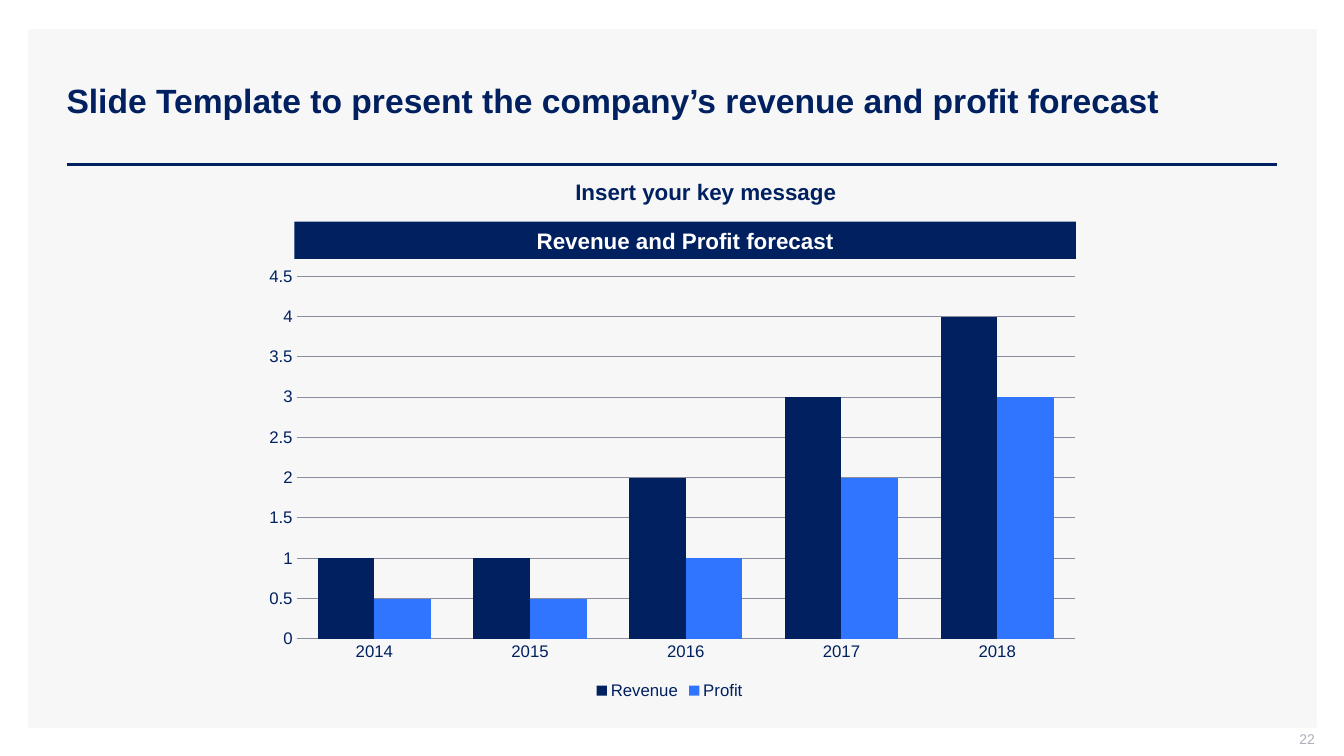
import pptx
import pptx.chart.data
import pptx.dml.color
import pptx.enum.chart
import pptx.enum.shapes
import pptx.enum.text
import pptx.oxml
import pptx.oxml.ns
import pptx.util
from pptx.util import Inches

# Content
TITLE = "Slide Template to present the company’s revenue and profit forecast"
KEY_MESSAGE = "Insert your key message"
CHART_HEADING = "Revenue and Profit forecast"
PAGE_NUMBER = "22"
YEARS = ["2014", "2015", "2016", "2017", "2018"]
SERIES = [
    ("Revenue", "navy", (1, 1, 2, 3, 4)),
    ("Profit ", "blue", (0.5, 0.5, 1, 2, 3)),
]

# Style
COLORS = {"navy": "002060", "blue": "3075FF", "panel": "F7F7F7",
          "white": "FFFFFF", "gray": "ADAFBB", "grid": "8A8CA0"}
FONT = "Arial"
ALIGN = pptx.enum.text.PP_ALIGN
MIDDLE = pptx.enum.text.MSO_ANCHOR.MIDDLE

# Places: left, top, width, height
PANEL = (0.28, 0.29, 12.78, 6.93)
TITLE_BOX = (0.56, 0.4, 12.11, 1.19)
RULE = (0.66, 1.63, 12.67, 1.63)  # from x, y to x, y
MESSAGE_BOX = (5.08, 1.77, 3.84, 0.27)
HEADING_BOX = (2.92, 2.2, 7.75, 0.37)
CHART_BOX = (2.5, 2.56, 8.33, 4.42)
PLOT_BOX = (2.94, 2.74, 7.72, 3.6)
NUMBER_BOX = (10.04, 7.25, 3, 0.21)


def inches(box):
    return [Inches(v) for v in box]


def rgb(name):
    return pptx.dml.color.RGBColor.from_string(COLORS[name])


def style_font(font, size, color, bold=False):
    font.name = FONT
    font.size = pptx.util.Pt(size)
    font.bold = bold
    font.color.rgb = rgb(color)


def write(shape, text, size, color, bold, align, margins=(0.1, 0.05, 0.1, 0.05)):
    tf = shape.text_frame
    tf.word_wrap = True
    tf.vertical_anchor = MIDDLE
    tf.margin_left, tf.margin_top, tf.margin_right, tf.margin_bottom = inches(margins)
    p = tf.paragraphs[0]
    p.alignment = align
    r = p.add_run()
    r.text = text
    style_font(r.font, size, color, bold)


def add_rect(s, box, color):
    sp = s.shapes.add_shape(pptx.enum.shapes.MSO_SHAPE.RECTANGLE, *inches(box))
    sp.shadow.inherit = False
    sp.fill.solid()
    sp.fill.fore_color.rgb = rgb(color)
    sp.line.fill.background()
    return sp


def place_plot(chart):
    """Fix the inner plot area as fractions of the chart frame."""
    cx, cy, cw, ch = CHART_BOX
    px, py, pw, ph = PLOT_BOX
    parts = {"x": (px - cx) / cw, "y": (py - cy) / ch, "w": pw / cw, "h": ph / ch}
    values = "".join(f'<c:{k} val="{v:.3f}"/>' for k, v in parts.items())
    layout = pptx.oxml.parse_xml(
        f'<c:layout {pptx.oxml.ns.nsdecls("c")}><c:manualLayout>'
        '<c:layoutTarget val="inner"/><c:xMode val="edge"/><c:yMode val="edge"/>'
        f'{values}</c:manualLayout></c:layout>')
    plot_area = chart.element.find(".//" + pptx.oxml.ns.qn("c:plotArea"))
    for old in plot_area.findall(pptx.oxml.ns.qn("c:layout")):
        plot_area.remove(old)
    plot_area.insert(0, layout)


def add_forecast_chart(s):
    data = pptx.chart.data.CategoryChartData()
    data.categories = YEARS
    for name, _, values in SERIES:
        data.add_series(name, values)
    chart = s.shapes.add_chart(pptx.enum.chart.XL_CHART_TYPE.COLUMN_CLUSTERED,
                               *inches(CHART_BOX), data).chart
    chart.has_title = False
    style_font(chart.font, 18, "navy")

    # Bars
    plot = chart.plots[0]
    plot.vary_by_categories = False
    plot.gap_width = 75
    plot.overlap = 0
    for series, (_, color, _) in zip(plot.series, SERIES):
        series.format.fill.solid()
        series.format.fill.fore_color.rgb = rgb(color)

    # Axes
    for axis in (chart.category_axis, chart.value_axis):
        axis.major_tick_mark = pptx.enum.chart.XL_TICK_MARK.NONE
        axis.minor_tick_mark = pptx.enum.chart.XL_TICK_MARK.NONE
        style_font(axis.tick_labels.font, 12, "navy")
    value_axis = chart.value_axis
    value_axis.minimum_scale, value_axis.maximum_scale = 0, 4.5
    value_axis.major_unit = 0.5
    value_axis.format.line.fill.background()
    value_axis.has_major_gridlines = True
    for line in (value_axis.major_gridlines.format.line,
                 chart.category_axis.format.line):
        line.color.rgb = rgb("grid")
        line.width = pptx.util.Pt(0.75)

    # Legend
    chart.has_legend = True
    chart.legend.position = pptx.enum.chart.XL_LEGEND_POSITION.BOTTOM
    chart.legend.include_in_layout = False
    style_font(chart.legend.font, 12, "navy")
    place_plot(chart)


def main():
    prs = pptx.Presentation()
    prs.slide_width, prs.slide_height = Inches(13.33), Inches(7.5)
    s = prs.slides.add_slide(prs.slide_layouts[5])

    # Panel and rule
    add_rect(s, PANEL, "panel")
    rule = s.shapes.add_connector(pptx.enum.shapes.MSO_CONNECTOR.STRAIGHT, *inches(RULE))
    rule.line.color.rgb = rgb("navy")
    rule.line.width = pptx.util.Pt(2)
    rule.element.spPr.append(
        pptx.oxml.parse_xml(f'<a:effectLst {pptx.oxml.ns.nsdecls("a")}/>'))

    # Title, raised above the panel
    title = s.shapes.title
    title.left, title.top, title.width, title.height = inches(TITLE_BOX)
    write(title, TITLE, 24, "navy", True, ALIGN.LEFT)
    title.element.getparent().append(title.element)

    # Page number and key message
    number = s.shapes.add_textbox(*inches(NUMBER_BOX))
    write(number, PAGE_NUMBER, 10, "gray", False, ALIGN.RIGHT, (0.1, 0, 0, 0.05))
    message = s.shapes.add_textbox(*inches(MESSAGE_BOX))
    write(message, KEY_MESSAGE, 16, "navy", True, ALIGN.CENTER, (0.08, 0, 0.08, 0))

    # Chart and its heading
    add_forecast_chart(s)
    heading = add_rect(s, HEADING_BOX, "navy")
    write(heading, CHART_HEADING, 16, "white", True, ALIGN.CENTER)

    prs.save("out.pptx")


if __name__ == "__main__":
    main()
